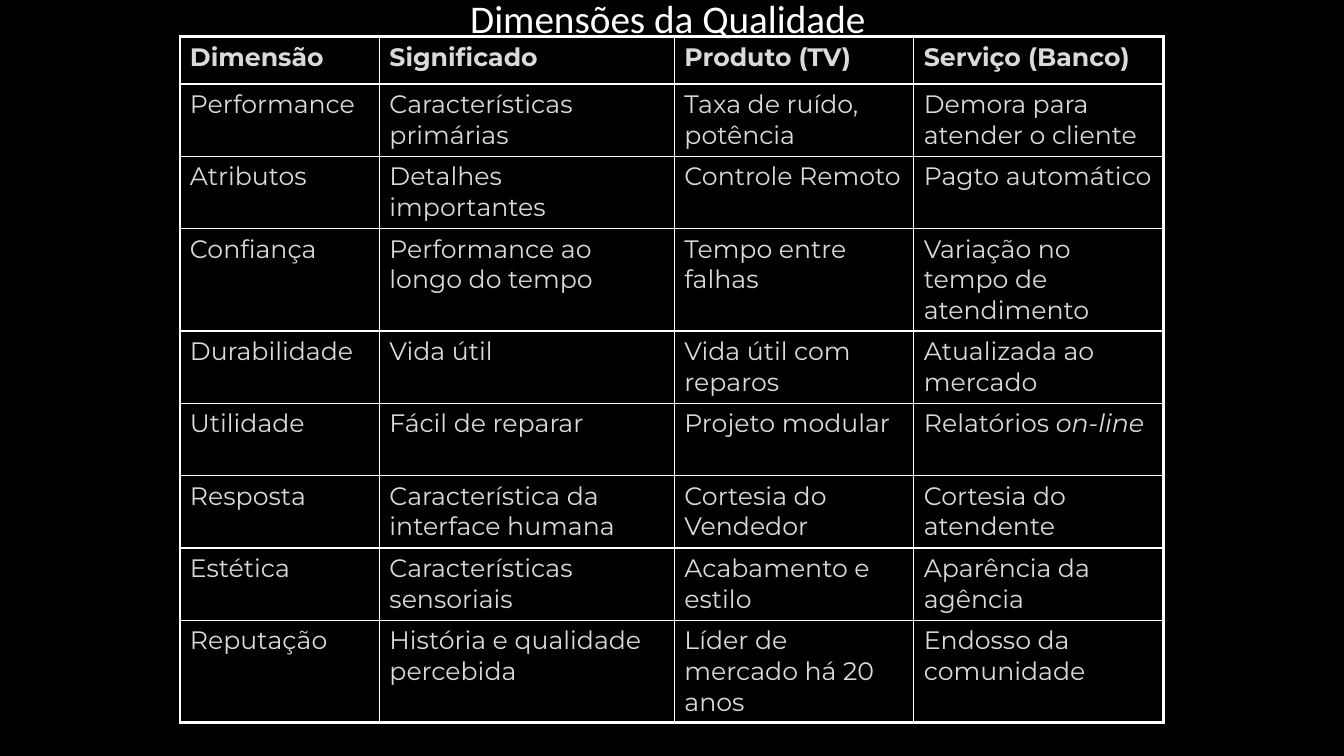
from lxml.etree import SubElement
from pptx import Presentation
from pptx.dml.color import RGBColor
from pptx.enum.text import MSO_ANCHOR, MSO_AUTO_SIZE, PP_ALIGN
from pptx.oxml.ns import qn
from pptx.util import Pt

WHITE, GREY, BLACK = "FFFFFF", "DADADA", "000000"
TITLE_FORMAT = {"name": "Calibri", "size": Pt(28), "bold": False}
CELL_FORMAT = {"name": "Montserrat", "size": Pt(18), "bold": False}
HEADER_FORMAT = {**CELL_FORMAT, "bold": True}
ITALIC_WORDS = {"on-line"}
THIN, THICK = Pt(1), Pt(2.25)

COLUMN_WIDTHS = [142.5, 210.75, 171, 178.5]
HEADER_HEIGHT, TWO_LINES, THREE_LINES = 33.8, 51.7, 73
ROW_HEIGHTS = [HEADER_HEIGHT, TWO_LINES, TWO_LINES, THREE_LINES,
               *[TWO_LINES] * 4, THREE_LINES]
DIMENSIONS = [
    ["Dimensão", "Significado", "Produto (TV)", "Serviço (Banco)"],
    ["Performance", "Características primárias", "Taxa de ruído, potência",
     "Demora para atender o cliente"],
    ["Atributos", "Detalhes importantes", "Controle Remoto", "Pagto automático"],
    ["Confiança", "Performance ao longo do tempo", "Tempo entre falhas",
     "Variação no tempo de atendimento"],
    ["Durabilidade", "Vida útil", "Vida útil com reparos", "Atualizada ao mercado"],
    ["Utilidade", "Fácil de reparar", "Projeto modular", ("Relatórios ", "on-line")],
    ["Resposta", "Característica da interface humana", "Cortesia do Vendedor",
     "Cortesia do atendente"],
    ["Estética", "Características sensoriais", "Acabamento e estilo",
     "Aparência da agência"],
    ["Reputação", "História e qualidade percebida", "Líder de mercado há 20 anos",
     "Endosso da comunidade"],
]


def color(value):
    return RGBColor.from_string(value)


def apply_format(target, values):
    for name, value in values.items():
        setattr(target, name, value)


def write_text(paragraph, content, font_format, font_color):
    parts = (content,) if isinstance(content, str) else content
    for part in parts:
        run = paragraph.add_run()
        run.text = part
        apply_format(run.font, font_format)
        run.font.color.rgb = color(font_color)
        if part in ITALIC_WORDS:
            run.font.italic = True


def set_borders(cell, widths):
    properties = cell._tc.get_or_add_tcPr()
    for side, width in widths.items():
        line = SubElement(properties, qn(f"a:ln{side}"), w=str(width))
        fill = SubElement(line, qn("a:solidFill"))
        SubElement(fill, qn("a:srgbClr"), val=WHITE)


def add_title(slide, left, top, width, height):
    title = slide.shapes.title
    apply_format(title, {"left": Pt(left), "top": Pt(top),
                         "width": Pt(width), "height": Pt(height)})
    apply_format(title.text_frame, {
        "word_wrap": True, "auto_size": MSO_AUTO_SIZE.NONE,
        "vertical_anchor": MSO_ANCHOR.TOP, "margin_top": Pt(3.6),
        "margin_bottom": Pt(3.6)})
    paragraph = title.text_frame.paragraphs[0]
    apply_format(paragraph, {"alignment": PP_ALIGN.CENTER, "line_spacing": 1.0})
    write_text(paragraph, "Dimensões da Qualidade", TITLE_FORMAT, WHITE)


def add_dimension_table(slide, left, top):
    last_row, last_column = len(ROW_HEIGHTS) - 1, len(COLUMN_WIDTHS) - 1
    table = slide.shapes.add_table(
        last_row + 1, last_column + 1, Pt(left), Pt(top),
        Pt(sum(COLUMN_WIDTHS)), Pt(sum(ROW_HEIGHTS))).table
    apply_format(table, {"first_row": False, "horz_banding": False})
    for column, width in zip(table.columns, COLUMN_WIDTHS):
        column.width = Pt(width)
    for row, height in zip(table.rows, ROW_HEIGHTS):
        row.height = Pt(height)
    for row_index, texts in enumerate(DIMENSIONS):
        font_format = CELL_FORMAT if row_index else HEADER_FORMAT
        for column_index, content in enumerate(texts):
            cell = table.cell(row_index, column_index)
            set_borders(cell, {
                "L": THICK if column_index == 0 else THIN,
                "R": THICK if column_index == last_column else THIN,
                "T": THICK if row_index == 0 else THIN,
                "B": THICK if row_index == last_row else THIN})
            cell.fill.background()
            write_text(cell.text_frame.paragraphs[0], content, font_format, GREY)


def main():
    presentation = Presentation()
    apply_format(presentation, {"slide_width": Pt(960), "slide_height": Pt(540)})
    slide = presentation.slides.add_slide(presentation.slide_layouts[5])
    slide.background.fill.solid()
    slide.background.fill.fore_color.rgb = color(BLACK)
    add_dimension_table(slide, 128.5, 26.2)
    add_title(slide, 202, -8, 550, 41)
    presentation.save("out.pptx")


if __name__ == "__main__":
    main()
